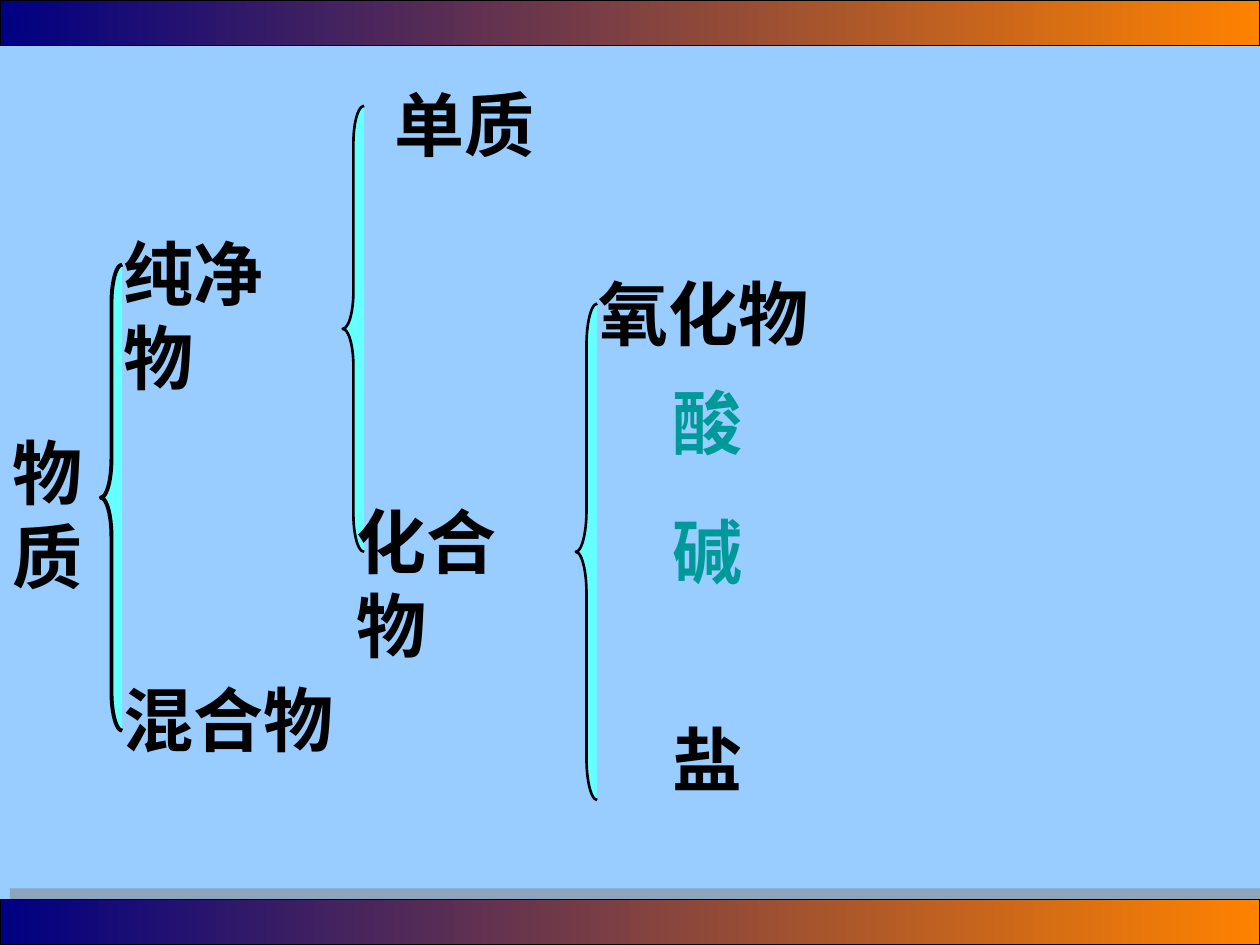
"""Build a slide that classifies matter as a tree of braces."""
from dataclasses import dataclass

from lxml.etree import SubElement
from pptx import Presentation
from pptx.dml.color import RGBColor
from pptx.enum.shapes import MSO_SHAPE
from pptx.enum.text import MSO_AUTO_SIZE
from pptx.oxml.ns import qn
from pptx.util import Inches, Pt


@dataclass(frozen=True)
class Theme:
    background: str = "99CCFF"
    ink: str = "000000"
    accent: str = "009999"
    brace: str = "66FFFF"
    bar_right: str = "FF8200"
    bar_left: str = "000082"
    shadow: str = "808080"
    font: str = "Times New Roman"
    size: int = 40


THEME = Theme()
SLIDE_WIDTH, SLIDE_HEIGHT = 10, 7.5
BAR_HEIGHT = 0.36
BRACE_WIDTH = 0.17
LABEL_HEIGHT = 0.77
LEAF_LEFT, LEAF_WIDTH = 5.24, 0.75

# text, left, top, width, format
LABELS = [
    ("单质", 3.03, 0.6, 2.13, {}),
    ("物质", 0, 3.36, 0.8, {"height": 1.44, "space_before": 25}),
    ("纯净物", 0.88, 1.78, 1.86, {"wrap": False}),
    ("混合物", 0.88, 5.32, 1.99, {}),
    ("化合物", 2.73, 3.91, 1.86, {"wrap": False}),
    ("氧化物", 4.65, 2.1, 2.55, {}),
]
LEAVES = [("酸", 2.96, THEME.accent), ("碱", 3.99, THEME.accent), ("盐", 5.64, THEME.ink)]
# left, top, height, line width
BRACES = [(0.8, 2.1, 3.7, 2.25), (2.72, 0.84, 3.54, 1.5), (4.57, 2.41, 3.94, 1.5)]


def color(value):
    return RGBColor.from_string(value)


def add_shape(slide, kind, left, top, width, height, line_width):
    shape = slide.shapes.add_shape(
        kind, Inches(left), Inches(top), Inches(width), Inches(height))
    shape.shadow.inherit = False
    shape.line.color.rgb = color(THEME.ink)
    shape.line.width = Pt(line_width)
    return shape


def add_bar(slide, top):
    bar = add_shape(slide, MSO_SHAPE.RECTANGLE, 0, top, SLIDE_WIDTH, BAR_HEIGHT, 0.75)
    bar.fill.gradient()
    bar.fill.gradient_angle = 180
    for stop, value in zip(bar.fill.gradient_stops, (THEME.bar_right, THEME.bar_left)):
        stop.color.rgb = color(value)
    effects = bar.element.spPr.find(qn("a:effectLst"))
    shadow = SubElement(effects, qn("a:outerShdw"), dist=str(Pt(8.5)),
                        dir=str(315 * 60000), algn="ctr", rotWithShape="0")
    shadow_color = SubElement(shadow, qn("a:srgbClr"), val=THEME.shadow)
    SubElement(shadow_color, qn("a:alpha"), val="50000")


def add_brace(slide, left, top, height, line_width):
    brace = add_shape(slide, MSO_SHAPE.LEFT_BRACE, left, top, BRACE_WIDTH, height, line_width)
    brace.adjustments[0] = height / 12 / BRACE_WIDTH
    brace.fill.solid()
    brace.fill.fore_color.rgb = color(THEME.brace)


def add_text(slide, text, left, top, width, *, height=LABEL_HEIGHT, ink=THEME.ink,
             wrap=True, space_before=0):
    box = slide.shapes.add_textbox(Inches(left), Inches(top), Inches(width), Inches(height))
    frame = box.text_frame
    frame.word_wrap = wrap
    frame.auto_size = MSO_AUTO_SIZE.SHAPE_TO_FIT_TEXT
    paragraph = frame.paragraphs[0]
    paragraph.space_before = Pt(space_before)
    run = paragraph.add_run()
    run.text = text
    run.font.name = THEME.font
    run.font.size = Pt(THEME.size)
    run.font.bold = True
    run.font.color.rgb = color(ink)


def main():
    presentation = Presentation()
    presentation.slide_width = Inches(SLIDE_WIDTH)
    presentation.slide_height = Inches(SLIDE_HEIGHT)
    slide = presentation.slides.add_slide(presentation.slide_layouts[6])
    slide.background.fill.solid()
    slide.background.fill.fore_color.rgb = color(THEME.background)

    for top in (0, SLIDE_HEIGHT - BAR_HEIGHT):
        add_bar(slide, top)
    for brace in BRACES:
        add_brace(slide, *brace)
    for text, left, top, width, text_format in LABELS:
        add_text(slide, text, left, top, width, **text_format)
    for text, top, ink in LEAVES:
        add_text(slide, text, LEAF_LEFT, top, LEAF_WIDTH, ink=ink, wrap=False)
    presentation.save("out.pptx")


if __name__ == "__main__":
    main()
